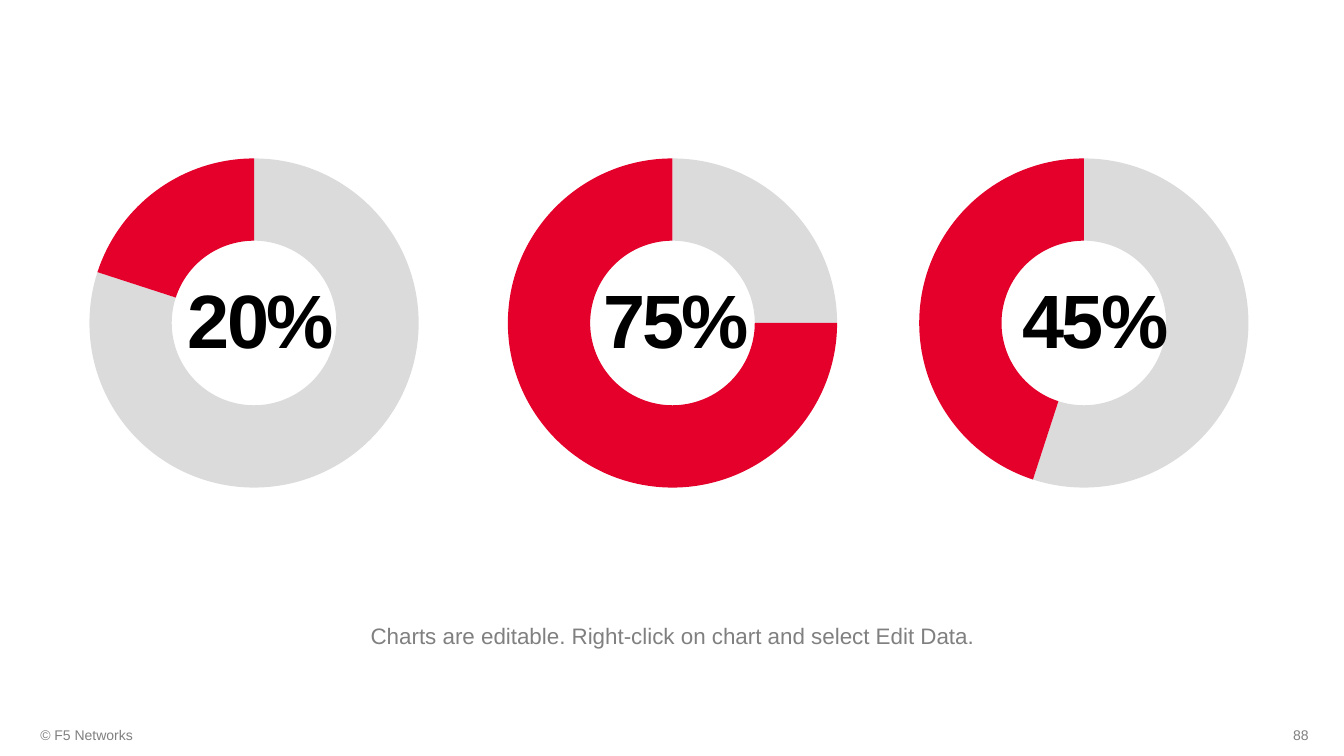
from lxml import etree
from pptx import Presentation
from pptx.chart.data import CategoryChartData
from pptx.dml.color import RGBColor
from pptx.enum import chart as ch, text as tx
from pptx.oxml import parse_xml
from pptx.oxml.ns import nsdecls, qn
from pptx.util import Inches, Pt

GRAY, RED, BLACK = "808080", "E4002B", "000000"
LEFT, MID, RIGHT = tx.PP_ALIGN.LEFT, tx.PP_ALIGN.CENTER, tx.PP_ALIGN.RIGHT


def paint(target, color):
    target.rgb = RGBColor.from_string(color)


def label(words, x, y, w, h, size, color, align, inset=0.17):
    frame = slide.shapes.add_textbox(
        Inches(x), Inches(y), Inches(w), Inches(h)).text_frame
    frame.word_wrap = True
    frame.margin_left = frame.margin_right = Inches(inset)
    frame.margin_top = frame.margin_bottom = Inches(inset)
    frame.vertical_anchor = tx.MSO_ANCHOR.MIDDLE
    para = frame.paragraphs[0]
    para.text = words
    para.alignment = align
    font = para.runs[0].font
    font.name = "Arial"
    font.size = Pt(size)
    paint(font.color, color)
    return para


deck = Presentation()
deck.slide_width, deck.slide_height = Inches(13.33), Inches(7.5)
slide = deck.slides.add_slide(deck.slide_layouts[6])

# Footer
label("© F5 Networks", 0.23, 7.09, 4.5, 0.4, 10, GRAY, LEFT)
label("88", 9.85, 7.09, 3.3, 0.4, 10, GRAY, RIGHT)

# Rings, each with its share in the middle
for share, left, mark in [(20, 0, 1.5), (75, 4.15, 5.62), (45, 8.23, 9.78)]:
    data = CategoryChartData()
    data.categories = ["1", "2"]
    data.add_series("Series 1", (100 - share, share))
    chart = slide.shapes.add_chart(
        ch.XL_CHART_TYPE.DOUGHNUT, Inches(left), Inches(1.43),
        Inches(5.04), Inches(3.55), data).chart
    chart.has_legend = chart.has_title = False
    chart.font.name = "Arial"
    chart.font.size = Pt(10.5)
    paint(chart.font.color, "4D4F53")
    plot = chart.plots[0]
    plot.vary_by_categories = True
    for i, color in enumerate([BLACK, RED]):
        form = plot.series[0].points[i].format
        form.fill.solid()
        paint(form.fill.fore_color, color)
        form.line.fill.background()

    # Faint rest of the ring, hole size and plot area
    root = chart.element
    for tone in root.iter(qn("a:srgbClr")):
        if tone.get("val") == BLACK:
            etree.SubElement(tone, qn("a:alpha")).set("val", "14000")
    next(root.iter(qn("c:holeSize"))).set("val", "85")
    area = next(root.iter(qn("c:plotArea")))
    for old in area.findall(qn("c:layout")):
        area.remove(old)
    sizes = "".join(f'<c:{k} val="{v}"/>' for k, v in [
        ("layoutTarget", "inner"), ("xMode", "edge"), ("yMode", "edge"),
        ("x", 0.175), ("y", 0.04), ("w", 0.65), ("h", 0.92)])
    area.insert(0, parse_xml(
        f'<c:layout {nsdecls("c")}><c:manualLayout>{sizes}'
        '</c:manualLayout></c:layout>'))

    para = label(f"{share}%", mark, 2.75, 2.17, 0.92, 54, BLACK, MID, 0.05)
    para.line_spacing = 0.9
    run = para.runs[0]
    run.font.bold = True
    run.font._element.set("spc", "-200")

# Hint
label("Charts are editable. Right-click on chart and select Edit Data.",
      3.46, 6, 6.42, 0.61, 16, GRAY, MID)

deck.save("out.pptx")
